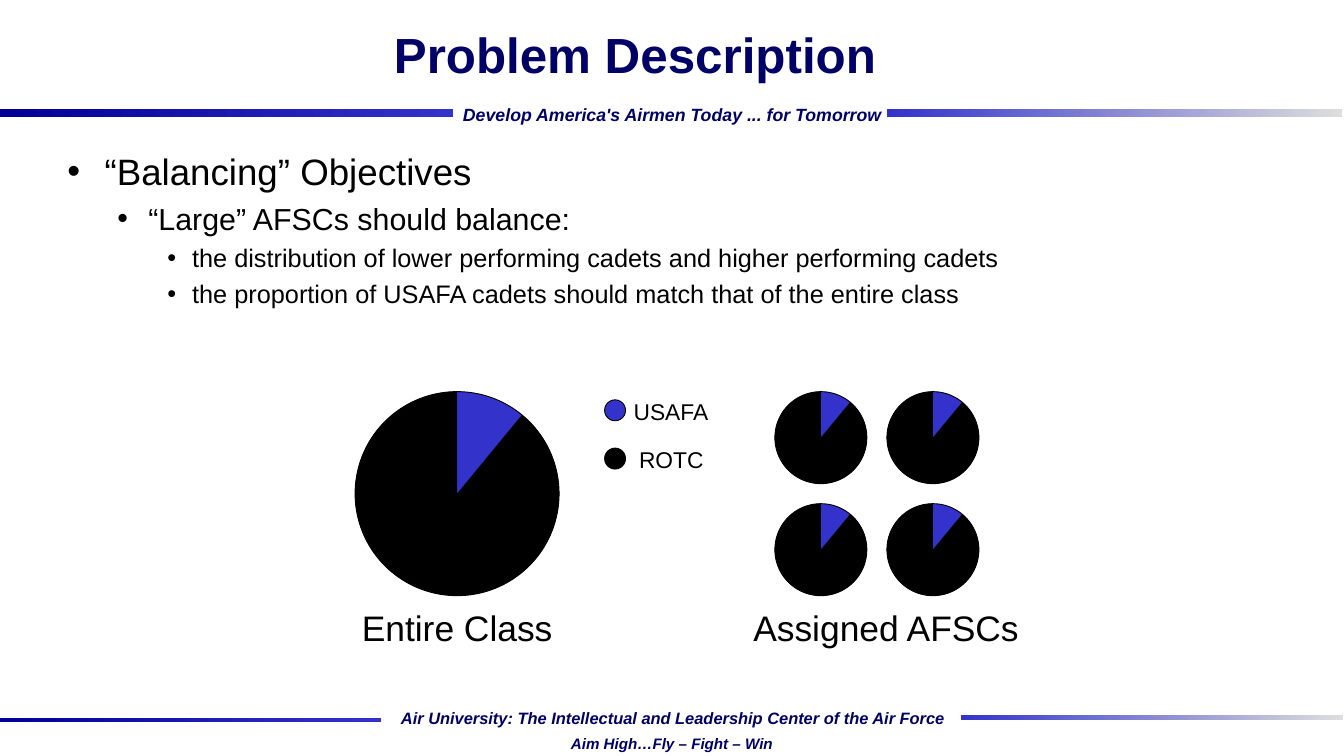
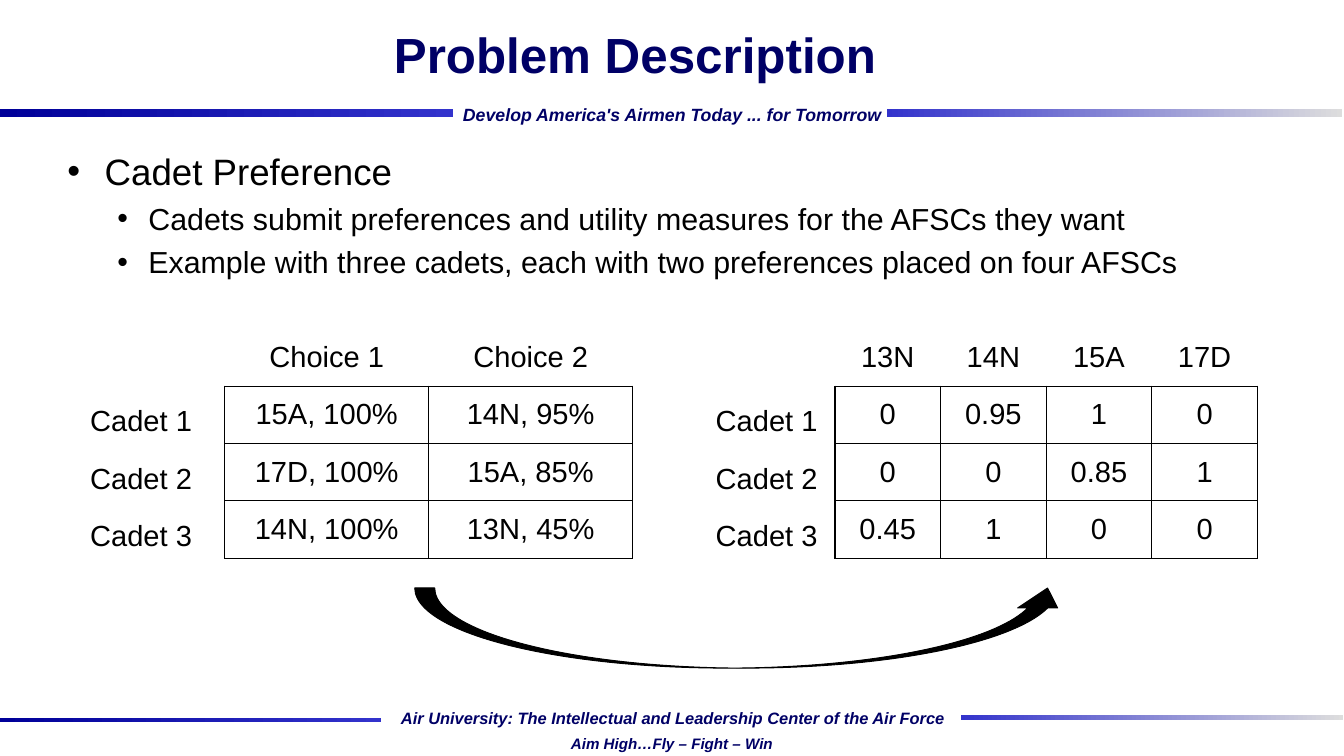
from dataclasses import dataclass
from itertools import product

from lxml.etree import SubElement
from pptx import Presentation
from pptx.dml.color import RGBColor
from pptx.enum.shapes import MSO_SHAPE
from pptx.enum.text import MSO_ANCHOR, PP_ALIGN
from pptx.oxml.ns import qn
from pptx.util import Inches, Pt

SLIDE_WIDTH, SLIDE_HEIGHT = 14.76, 8.3


@dataclass(frozen=True)
class Theme:
    font: str = "Arial"
    navy: str = "000066"
    deep_blue: str = "000099"
    blue: str = "3333CC"
    silver: str = "DDDDDD"
    black: str = "000000"
    title: int = 39
    bullets: tuple = (29, 24, 20)
    caption: int = 28
    table: int = 23
    legend: int = 18
    outline: float = 0.75
    grid_line: float = 1


THEME = Theme()

TITLE = "Problem Description"
# text, (left, top, width, height), type size
MOTTOES = [
    ("Develop America's Airmen Today ... for Tomorrow", (4.97, 1.09, 4.83, 0.34), 14),
    ("Air University: The Intellectual and Leadership Center of the Air Force",
     (4.26, 7.72, 6.25, 0.31), 13),
    ("Aim High…Fly – Fight – Win", (6.14, 8.01, 2.48, 0.29), 12),
]
# (left, top, width, height), gradient start, gradient end
BANDS = [
    ((0, 1.2, 4.98, 0.09), THEME.deep_blue, THEME.blue),
    ((9.74, 1.2, 5, 0.09), THEME.blue, THEME.silver),
    ((0, 7.88, 4.18, 0.05), THEME.deep_blue, THEME.blue),
    ((10.55, 7.85, 4.2, 0.05), THEME.blue, THEME.silver),
]
# left margin and hanging indent of each bullet level
BULLET_INDENTS = [(0.41, 0.41), (0.89, 0.34), (1.37, 0.27)]

BALANCING_BULLETS = [
    (0, "“Balancing” Objectives"),
    (1, "“Large” AFSCs should balance:"),
    (2, "the distribution of lower performing cadets and higher performing cadets"),
    (2, "the proportion of USAFA cadets should match that of the entire class"),
]
LEGEND = [("USAFA", THEME.blue, 6.86, 1.19), ("ROTC", THEME.black, 6.92, 1.06)]
CAPTIONS = [("Entire Class", 2.7), ("Assigned AFSCs", 7.41)]
USAFA_ANGLE = 39.5

PREFERENCE_BULLETS = [
    (0, "Cadet Preference"),
    (1, "Cadets submit preferences and utility measures for the AFSCs they want"),
    (1, "Example with three cadets, each with two preferences placed on four AFSCs"),
]
CHOICES = [
    ("", "Choice 1", "Choice 2"),
    ("Cadet 1", "15A, 100%", "14N, 95%"),
    ("Cadet 2", "17D, 100%", "15A, 85%"),
    ("Cadet 3", "14N, 100%", "13N, 45%"),
]
UTILITIES = [
    ("", "13N", "14N", "15A", "17D"),
    ("Cadet 1", "0", "0.95", "1", "0"),
    ("Cadet 2", "0", "0", "0.85", "1"),
    ("Cadet 3", "0.45", "1", "0", "0"),
]
# rows, left edge, label column width, value column width
TABLES = [(CHOICES, 0.86, 1.61, 2.24), (UTILITIES, 7.73, 1.44, 1.16)]
TABLE_TOP, ROW_HEIGHT = 3.61, 0.63
NO_STYLE = "{2D5ABB26-0587-4C30-8999-92F81FD0307C}"


def inches(box):
    return [Inches(length) for length in box]


def set_font(font, size, color=THEME.black, **styles):
    font.color.rgb = RGBColor.from_string(color)
    for name, value in {"name": THEME.font, "size": Pt(size), **styles}.items():
        setattr(font, name, value)


def add_text(slide, text, box, size, color=THEME.black, align=PP_ALIGN.CENTER,
             anchor=MSO_ANCHOR.TOP, wrap=True, **styles):
    frame = slide.shapes.add_textbox(*inches(box)).text_frame
    frame.word_wrap = wrap
    frame.vertical_anchor = anchor
    paragraph = frame.paragraphs[0]
    paragraph.text = text
    paragraph.alignment = align
    set_font(paragraph.runs[0].font, size, color, **styles)


def add_filled_shape(slide, kind, box, color, outlined=True):
    shape = slide.shapes.add_shape(kind, *inches(box))
    shape.shadow.inherit = False
    shape.fill.solid()
    shape.fill.fore_color.rgb = RGBColor.from_string(color)
    if outlined:
        shape.line.color.rgb = RGBColor.from_string(THEME.black)
        shape.line.width = Pt(THEME.outline)
    else:
        shape.line.fill.background()
    return shape


def add_band(slide, box, start, end):
    band = add_filled_shape(slide, MSO_SHAPE.RECTANGLE, box, start, outlined=False)
    band.fill.gradient()
    band.fill.gradient_angle = 0
    for stop, color in zip(band.fill.gradient_stops, (start, end)):
        stop.color.rgb = RGBColor.from_string(color)


def add_bullets(slide, bullets):
    frame = slide.shapes.add_textbox(*inches((0.63, 1.58, 13.27, 6.07))).text_frame
    frame.word_wrap = True
    frame.margin_left = frame.margin_right = Inches(0.11)
    for index, (level, text) in enumerate(bullets):
        paragraph = frame.add_paragraph() if index else frame.paragraphs[0]
        paragraph.text = text
        paragraph.level = level
        size = THEME.bullets[level]
        if index:
            paragraph.space_before = Pt(size * 0.24)
        margin, hanging = BULLET_INDENTS[level]
        properties = paragraph._p.get_or_add_pPr()
        properties.set("marL", str(Inches(margin)))
        properties.set("indent", str(-Inches(hanging)))
        SubElement(properties, qn("a:buFont"), typeface=THEME.font)
        SubElement(properties, qn("a:buChar"), char="•")
        set_font(paragraph.runs[0].font, size)


def start_slide(presentation, bullets):
    """Add a slide with the shared bands, mottoes and title, then its bullets."""
    slide = presentation.slides.add_slide(presentation.slide_layouts[6])
    for band in BANDS:
        add_band(slide, *band)
    for text, box, size in MOTTOES:
        add_text(slide, text, box, size, THEME.navy, wrap=False, bold=True, italic=True)
    add_bullets(slide, bullets)
    add_text(slide, TITLE, (1.26, 0, 11.43, 1.17), THEME.title, THEME.navy,
             anchor=MSO_ANCHOR.MIDDLE, bold=True)
    return slide


def add_share_pie(slide, left, top, size):
    """Draw the USAFA disc and cover the rest with the ROTC sector."""
    box = (left, top, size, size)
    add_filled_shape(slide, MSO_SHAPE.OVAL, box, THEME.blue)
    sector = add_filled_shape(slide, MSO_SHAPE.PIE, box, THEME.black, outlined=False)
    for index, degrees in enumerate((270 + USAFA_ANGLE, 270)):
        sector.adjustments[index] = degrees * 0.6  # 60000 units per degree, in 100000ths


def build_balancing_slide(presentation):
    slide = start_slide(presentation, BALANCING_BULLETS)
    top, class_size, afsc_size = 4.3, 2.24, 1.01
    pitch = class_size - afsc_size
    add_share_pie(slide, 3.9, top, class_size)
    for row, column in product(range(2), repeat=2):
        add_share_pie(slide, 8.51 + column * pitch, top + row * pitch, afsc_size)
    for row, (label, color, left, width) in enumerate(LEGEND):
        offset = row * 0.53
        add_filled_shape(slide, MSO_SHAPE.OVAL, (6.64, 4.39 + offset, 0.23, 0.23), color)
        add_text(slide, label, (left, 4.32 + offset, width, 0.47), THEME.legend,
                 align=PP_ALIGN.LEFT, wrap=False)
    for caption, left in CAPTIONS:
        add_text(slide, caption, (left, 6.6, 4.64, 0.87), THEME.caption)


def add_borders(cell, sides):
    properties = cell._tc.get_or_add_tcPr()
    for side in "LRTB":
        width = Pt(THEME.grid_line) if side in sides else 0
        line = SubElement(properties, qn(f"a:ln{side}"), w=str(width))
        if width:
            fill = SubElement(line, qn("a:solidFill"))
            SubElement(fill, qn("a:srgbClr"), val=THEME.black)
        else:
            SubElement(line, qn("a:noFill"))


def format_cell(cell, text, is_header, is_label):
    if is_header:
        sides = "" if is_label else "B"
    else:
        sides = "R" if is_label else "LRTB"
    add_borders(cell, sides)
    cell.fill.background()
    cell.margin_left = cell.margin_right = Inches(0.13)
    cell.margin_top = cell.margin_bottom = Inches(0.06)
    cell.vertical_anchor = MSO_ANCHOR.BOTTOM if is_label else MSO_ANCHOR.MIDDLE
    paragraph = cell.text_frame.paragraphs[0]
    paragraph.text = text
    paragraph.alignment = PP_ALIGN.LEFT if is_label else PP_ALIGN.CENTER
    set_font(paragraph.font, THEME.table)
    for run in paragraph.runs:
        set_font(run.font, THEME.table)


def add_cadet_table(slide, rows, left, label_width, value_width):
    widths = [label_width] + [value_width] * (len(rows[0]) - 1)
    box = (left, TABLE_TOP, sum(widths), ROW_HEIGHT * len(rows))
    table = slide.shapes.add_table(len(rows), len(widths), *inches(box)).table
    table.first_row = table.horz_banding = False
    table._tbl.tblPr.find(qn("a:tableStyleId")).text = NO_STYLE
    for column, width in zip(table.columns, widths):
        column.width = Inches(width)
    for row_index, row in enumerate(rows):
        for column_index, text in enumerate(row):
            format_cell(table.cell(row_index, column_index), text,
                        row_index == 0, column_index == 0)


def build_preference_slide(presentation):
    slide = start_slide(presentation, PREFERENCE_BULLETS)
    for table in TABLES:
        add_cadet_table(slide, *table)
    arrow = add_filled_shape(slide, MSO_SHAPE.CURVED_LEFT_ARROW,
                             (7.7, 3.31, 0.88, 7.17), THEME.black)
    arrow.rotation = 270
    arrow._element.spPr.find(qn("a:xfrm")).set("flipH", "1")


def main():
    presentation = Presentation()
    presentation.slide_width = Inches(SLIDE_WIDTH)
    presentation.slide_height = Inches(SLIDE_HEIGHT)
    build_balancing_slide(presentation)
    build_preference_slide(presentation)
    presentation.save("out.pptx")


if __name__ == "__main__":
    main()
